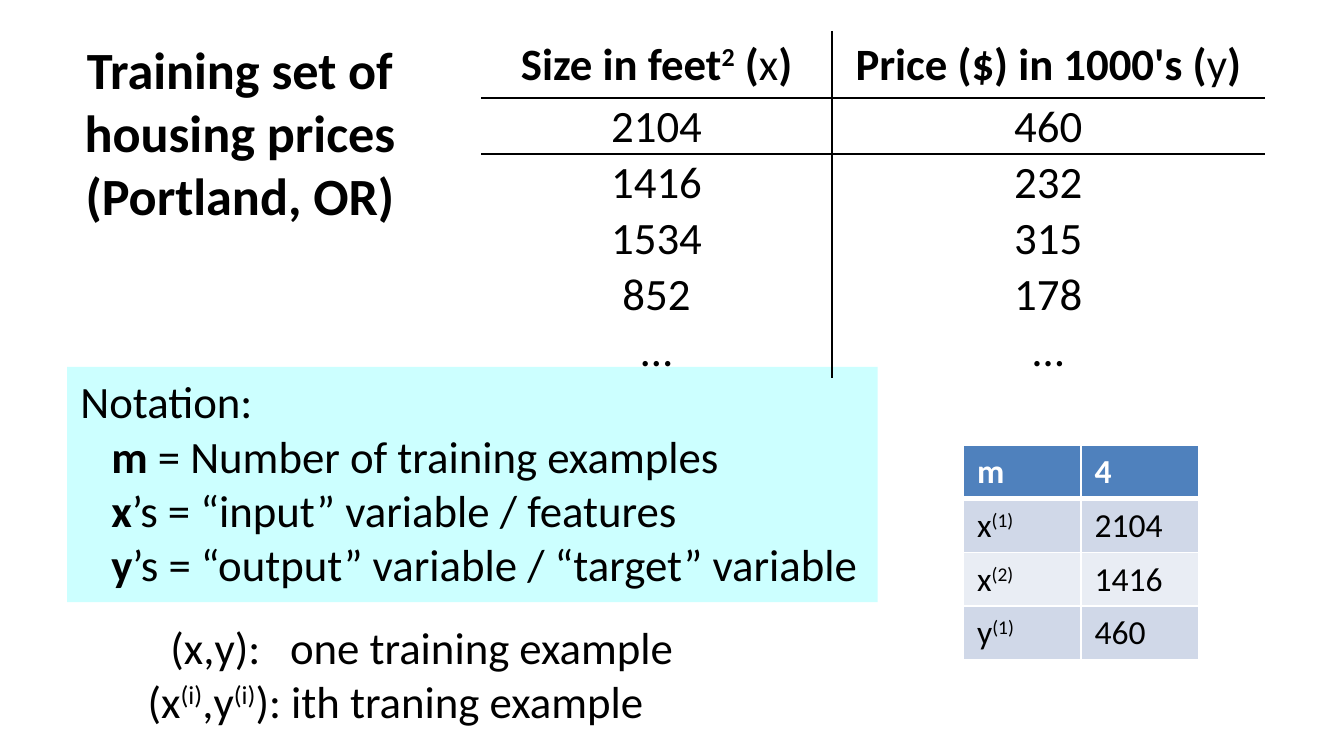
from pptx import Presentation
from pptx.dml.color import RGBColor
from pptx.enum.shapes import MSO_SHAPE
from pptx.enum.text import MSO_ANCHOR, PP_ALIGN
from pptx.oxml.ns import qn
from pptx.util import Inches, Pt
from lxml.etree import SubElement

FONT = "Calibri"
BLACK, WHITE = "000000", "FFFFFF"
HEADER_BLUE, BAND_DARK, BAND_LIGHT = "4F81BD", "D0D8E8", "E9EDF4"
NOTATION_CYAN = "CCFFFF"
ROW_HEIGHT = 0.32


def rgb(value):
    """Turn a hex string into a colour."""
    return RGBColor.from_string(value)


def write(frame, lines, size=24, color=BLACK, align=PP_ALIGN.LEFT, bold=False):
    """Write one paragraph per line; *...* flips bold and ^...^ raises."""
    for number, line in enumerate(lines):
        paragraph = frame.add_paragraph() if number else frame.paragraphs[0]
        paragraph.alignment = align
        for flips, stretch in enumerate(line.split("*")):
            for raises, words in enumerate(stretch.split("^")):
                if not words:
                    continue
                run = paragraph.add_run()
                run.text = words
                run.font.name = FONT
                run.font.size = Pt(size)
                run.font.bold = bold != (flips % 2 == 1)
                run.font.color.rgb = rgb(color)
                if raises % 2:
                    run.font._element.set("baseline", "30000")
    return frame.paragraphs


def indent(paragraph, left, first=0):
    """Set the left margin and first-line indent of a paragraph in inches."""
    properties = paragraph._p.get_or_add_pPr()
    properties.set("marL", str(Inches(left)))
    properties.set("indent", str(Inches(first)))


def set_borders(cell, color, **widths):
    """Draw the sides L, R, T, B that have a width and clear the others."""
    properties = cell._tc.get_or_add_tcPr()
    for place, side in enumerate("LRTB"):
        width = widths.get(side, 0)
        line = SubElement(properties, qn(f"a:ln{side}"), w=str(Pt(width)))
        if width:
            fill = SubElement(line, qn("a:solidFill"))
            SubElement(fill, qn("a:srgbClr"), val=color)
        else:
            SubElement(line, qn("a:noFill"))
        properties.insert(place, line)


def add_plain_table(slide, box, rows, widths, heights):
    """Add an unstyled table with the given column widths and row heights."""
    frame = slide.shapes.add_table(len(rows), len(widths), *map(Inches, box))
    table = frame.table
    table.first_row = table.horz_banding = False
    for column, width in zip(table.columns, widths):
        column.width = Inches(width)
    for row, height in zip(table.rows, heights):
        row.height = Inches(height)
    return table


def add_text(slide, box, lines, wrap=True, **style):
    """Add a text box and return its paragraphs."""
    frame = slide.shapes.add_textbox(*map(Inches, box)).text_frame
    frame.word_wrap = wrap
    return write(frame, lines, **style)


def add_notation(slide, box):
    """Add the tinted panel that explains m, x and y."""
    panel = slide.shapes.add_shape(MSO_SHAPE.RECTANGLE, *map(Inches, box))
    panel.shadow.inherit = False
    panel.fill.solid()
    panel.fill.fore_color.rgb = rgb(NOTATION_CYAN)
    panel.line.fill.background()
    frame = panel.text_frame
    frame.word_wrap = False
    frame.vertical_anchor = MSO_ANCHOR.TOP
    definitions = write(frame, [
        "Notation:",
        "*m* = Number of training examples",
        "*x*’s = “input” variable / features",
        "*y*’s = “output” variable / “target” variable",
    ])[1:]
    definitions[0].space_before = Pt(1)
    for definition in definitions:
        indent(definition, 0.23)


def add_housing_table(slide, box):
    """Add the training set of sizes and prices with its ruled lines."""
    rows = [
        ("Size in feet^2^ (*x*)", "Price ($) in 1000's (*y*)"),
        ("2104", "460"), ("1416", "232"), ("1534", "315"), ("852", "178"),
        ("…", "…"),
    ]
    heights = [0.5] + [ROW_HEIGHT] * (len(rows) - 1)
    table = add_plain_table(slide, box, rows, [2.61, 3.22], heights)
    for r, row in enumerate(rows):
        for c, text in enumerate(row):
            cell = table.cell(r, c)
            cell.margin_left = cell.margin_right = cell.margin_top = Inches(0.01)
            cell.margin_bottom = 0
            cell.vertical_anchor = MSO_ANCHOR.BOTTOM if r else MSO_ANCHOR.MIDDLE
            cell.fill.background()
            write(cell.text_frame, [text], align=PP_ALIGN.CENTER, bold=r == 0)
            set_borders(cell, BLACK, L=c == 1, R=c == 0,
                        T=r in (1, 2), B=r in (0, 1))


def add_examples_table(slide, box):
    """Add the banded table of worked notation values."""
    rows = [("m", "4"), ("x^(1)^", "2104"), ("x^(2)^", "1416"), ("y^(1)^", "460")]
    table = add_plain_table(slide, box, rows, [box[2] / 2] * 2,
                            [ROW_HEIGHT] * len(rows))
    for r, row in enumerate(rows):
        band = BAND_DARK if r % 2 else BAND_LIGHT
        for c, text in enumerate(row):
            cell = table.cell(r, c)
            cell.fill.solid()
            cell.fill.fore_color.rgb = rgb(band if r else HEADER_BLUE)
            write(cell.text_frame, [text], size=18,
                  color=BLACK if r else WHITE, bold=r == 0)
            set_borders(cell, WHITE, L=1, R=1,
                        T=3 if r == 1 else 1, B=1 if r else 3)


def add_pair_notes(slide, box):
    """Add the two notes on training pairs, aligned at their meanings."""
    single, _ = add_text(slide, box, [
        "(x,y):\tone training example",
        "(x^(i)^,y^(i)^): ith traning example",
    ])
    indent(single, 1.06, -0.89)


def main():
    """Build and save the slide."""
    deck = Presentation()
    deck.slide_width = Inches(10)
    deck.slide_height = Inches(10 * 9 / 16)
    slide = deck.slides.add_slide(deck.slide_layouts[6])
    add_notation(slide, (0.5, 2.73, 6.03, 1.75))
    add_housing_table(slide, (3.58, 0.23, 5.83, 2.54))
    add_text(slide, (0.5, 0.23, 2.57, 1.51),
             ["Training set of", "housing prices", "(Portland, OR)"],
             wrap=False, size=28, bold=True, align=PP_ALIGN.CENTER)
    add_pair_notes(slide, (1, 4.56, 4.25, 0.91))
    add_examples_table(slide, (7.17, 3.31, 1.75, 1.6))
    deck.save("out.pptx")


if __name__ == "__main__":
    main()
